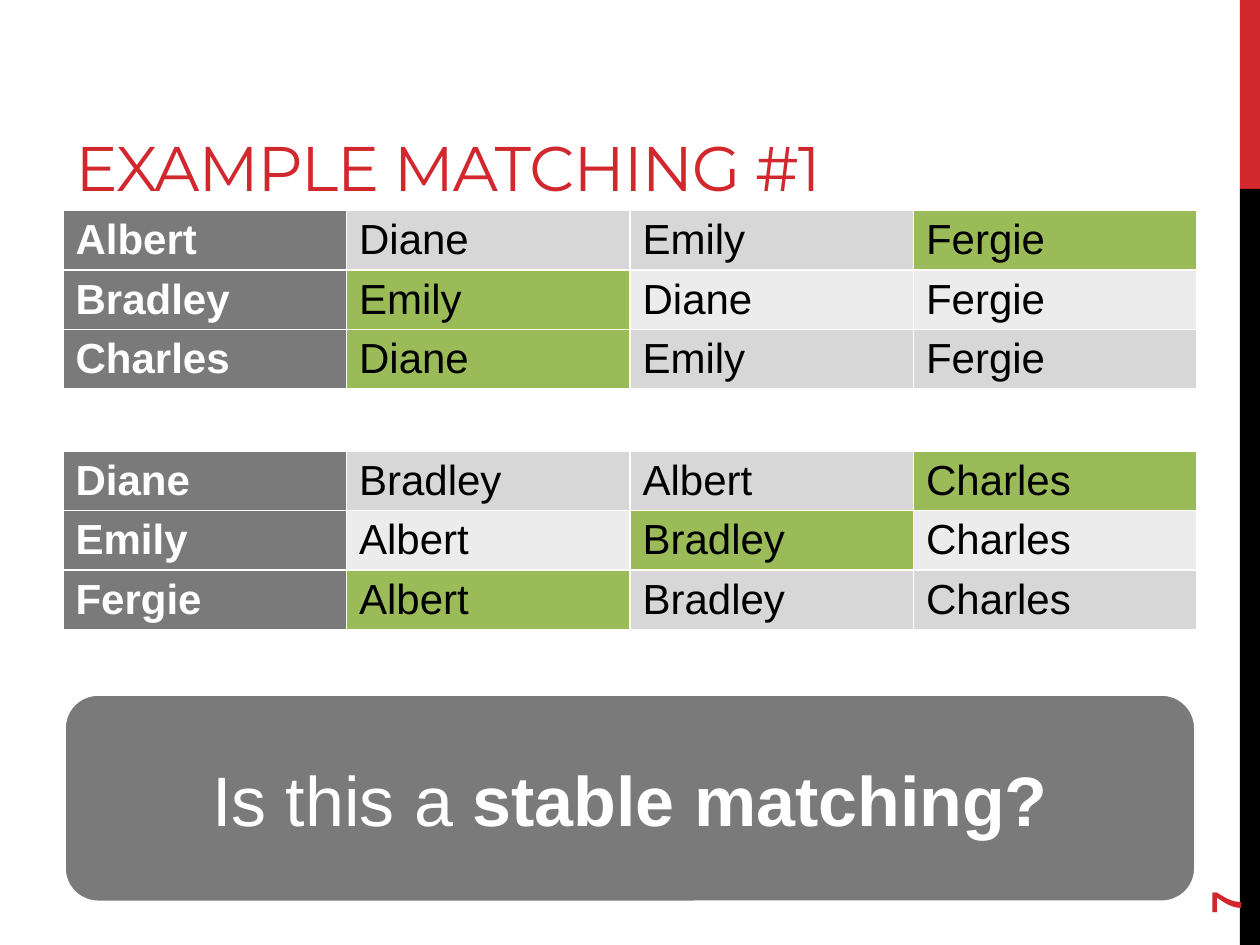
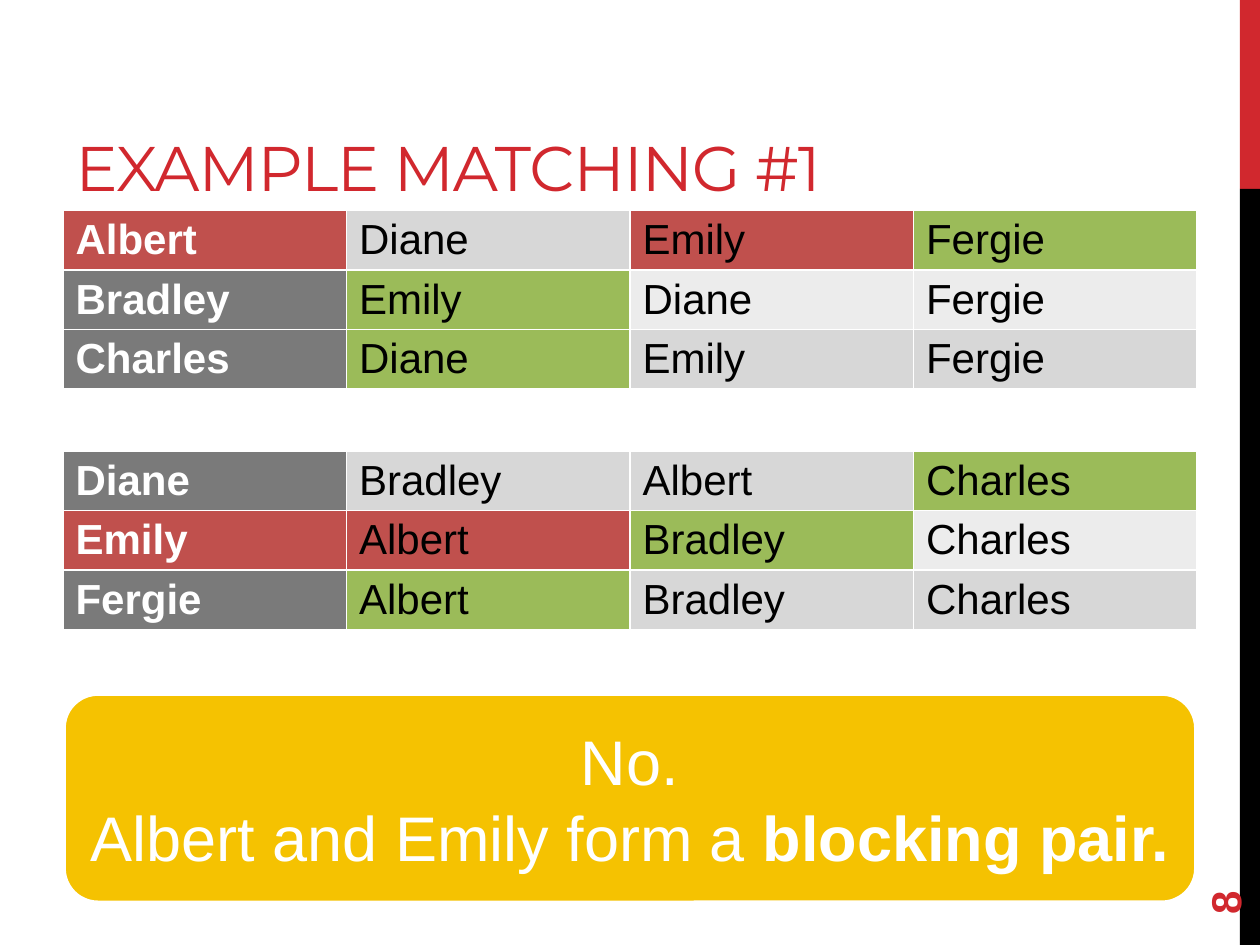
from dataclasses import dataclass

from lxml.etree import SubElement
from pptx import Presentation
from pptx.dml.color import RGBColor
from pptx.enum.shapes import MSO_SHAPE
from pptx.enum.text import MSO_ANCHOR, MSO_AUTO_SIZE, PP_ALIGN
from pptx.oxml.ns import qn
from pptx.util import Inches, Pt

TITLE = "EXAMPLE MATCHING #1"

# Each person, followed by their choices from best to worst
PREFERENCES = [
    [
        ("Albert", "Diane", "Emily", "Fergie"),
        ("Bradley", "Emily", "Diane", "Fergie"),
        ("Charles", "Diane", "Emily", "Fergie"),
    ],
    [
        ("Diane", "Bradley", "Albert", "Charles"),
        ("Emily", "Albert", "Bradley", "Charles"),
        ("Fergie", "Albert", "Bradley", "Charles"),
    ],
]
MATCHING = [{"Albert", "Fergie"}, {"Bradley", "Emily"}, {"Charles", "Diane"}]


@dataclass(frozen=True)
class Theme:
    accent: str = "D1282E"
    black: str = "000000"
    white: str = "FFFFFF"
    grey: str = "7A7A7A"
    gold: str = "F5C201"
    matched: str = "9BBB59"
    blocking: str = "C0504D"
    stripes: tuple = ("D7D7D7", "ECECEC")
    title_font: str = "Montserrat"
    body_font: str = "Arial"
    title_size: int = 36
    table_size: int = 24
    number_size: int = 24


THEME = Theme()

# Callout lines hold a plain part and a bold part
SLIDES = [
    dict(number=7, blocking_pair=set(), title_width=7.9,
         callout_fill=THEME.grey, callout_size=40,
         callout=[("Is this a ", "stable matching?")]),
    dict(number=8, blocking_pair={"Albert", "Emily"}, title_width=7.65,
         callout_fill=THEME.gold, callout_size=36,
         callout=[("No.", ""), ("Albert and Emily form a ", "blocking pair.")]),
]

SLIDE_WIDTH, SLIDE_HEIGHT = 10, 7.5
MARGIN, CONTENT_WIDTH = 0.5, 9
BAND_WIDTH, BAND_SPLIT = 0.16, 1.5
TABLE_TOPS = (1.67, 3.58)
ROW_HEIGHT = 0.41


def box(*lengths):
    return [Inches(length) for length in lengths]


def set_font(font, size, color, name=THEME.body_font, bold=None):
    font.name, font.size, font.bold = name, Pt(size), bold
    font.color.rgb = RGBColor.from_string(color)


def set_fill(part, color):
    part.fill.solid()
    part.fill.fore_color.rgb = RGBColor.from_string(color)


def add_filled(slide, preset, position, color):
    shape = slide.shapes.add_shape(preset, *box(*position))
    shape.shadow.inherit = False
    set_fill(shape, color)
    shape.line.fill.background()
    return shape


def add_side_bands(slide):
    left = SLIDE_WIDTH - BAND_WIDTH
    for top, bottom, color in ((0, BAND_SPLIT, THEME.accent),
                               (BAND_SPLIT, SLIDE_HEIGHT, THEME.black)):
        add_filled(slide, MSO_SHAPE.RECTANGLE,
                   (left, top, BAND_WIDTH, bottom - top), color)


def set_title(slide, width):
    title = slide.shapes.title
    title.left, title.top, title.width, title.height = box(MARGIN, 0.17, width, 1.5)
    frame = title.text_frame
    frame.text = TITLE
    frame.auto_size = MSO_AUTO_SIZE.NONE
    frame.vertical_anchor = MSO_ANCHOR.BOTTOM
    heading = frame.paragraphs[0]
    heading.alignment = PP_ALIGN.LEFT
    set_font(heading.font, THEME.title_size, THEME.accent, THEME.title_font)
    heading.runs[0]._r.get_or_add_rPr().set("spc", "-60")


def add_borders(cell):
    properties = cell._tc.get_or_add_tcPr()
    for side in ("lnL", "lnR", "lnT", "lnB"):
        line = SubElement(properties, qn(f"a:{side}"), w=str(Pt(1)))
        fill = SubElement(line, qn("a:solidFill"))
        SubElement(fill, qn("a:srgbClr"), val=THEME.white)


def cell_color(person, name, row, blocking_pair):
    """Colour of a cell naming `name` in the row of `person`."""
    if {person, name} <= blocking_pair:
        return THEME.blocking
    if name == person:
        return THEME.grey
    if {person, name} in MATCHING:
        return THEME.matched
    return THEME.stripes[row % 2]


def add_preferences(slide, top, rankings, blocking_pair):
    rows, columns = len(rankings), len(rankings[0])
    table = slide.shapes.add_table(
        rows, columns, *box(MARGIN, top, CONTENT_WIDTH, rows * ROW_HEIGHT)).table
    table.first_row = table.horz_banding = False
    for row, ranking in enumerate(rankings):
        person = ranking[0]
        for column, name in enumerate(ranking):
            cell = table.cell(row, column)
            cell.text = name
            add_borders(cell)
            set_fill(cell, cell_color(person, name, row, blocking_pair))
            is_head = column == 0
            set_font(cell.text_frame.paragraphs[0].font, THEME.table_size,
                     THEME.white if is_head else THEME.black, bold=is_head)


def add_callout(slide, lines, fill, size):
    callout = add_filled(slide, MSO_SHAPE.ROUNDED_RECTANGLE,
                         (MARGIN, 5.5, CONTENT_WIDTH, 1.67), fill)
    callout.line.color.rgb = RGBColor.from_string(THEME.white)
    callout.line.width = Pt(3.25)
    frame = callout.text_frame
    frame.vertical_anchor = MSO_ANCHOR.MIDDLE
    for index, (plain, strong) in enumerate(lines):
        line = frame.add_paragraph() if index else frame.paragraphs[0]
        line.alignment = PP_ALIGN.CENTER
        set_font(line.font, size, THEME.white)
        line.add_run().text = plain
        if strong:
            emphasis = line.add_run()
            emphasis.text = strong
            emphasis.font.bold = True


def add_slide_number(slide, number):
    label = slide.shapes.add_textbox(*box(9, 6.44, 1.44, 0.4))
    label.rotation = 270
    frame = label.text_frame
    frame.word_wrap = True
    frame.vertical_anchor = MSO_ANCHOR.MIDDLE
    frame.text = str(number)
    set_font(frame.paragraphs[0].font, THEME.number_size, THEME.accent, bold=True)


def main():
    deck = Presentation()
    deck.slide_width, deck.slide_height = box(SLIDE_WIDTH, SLIDE_HEIGHT)
    title_only = deck.slide_layouts[5]
    for content in SLIDES:
        slide = deck.slides.add_slide(title_only)
        add_side_bands(slide)
        set_title(slide, content["title_width"])
        for top, rankings in zip(TABLE_TOPS, PREFERENCES):
            add_preferences(slide, top, rankings, content["blocking_pair"])
        add_callout(slide, content["callout"], content["callout_fill"],
                    content["callout_size"])
        add_slide_number(slide, content["number"])
    deck.save("out.pptx")


if __name__ == "__main__":
    main()
